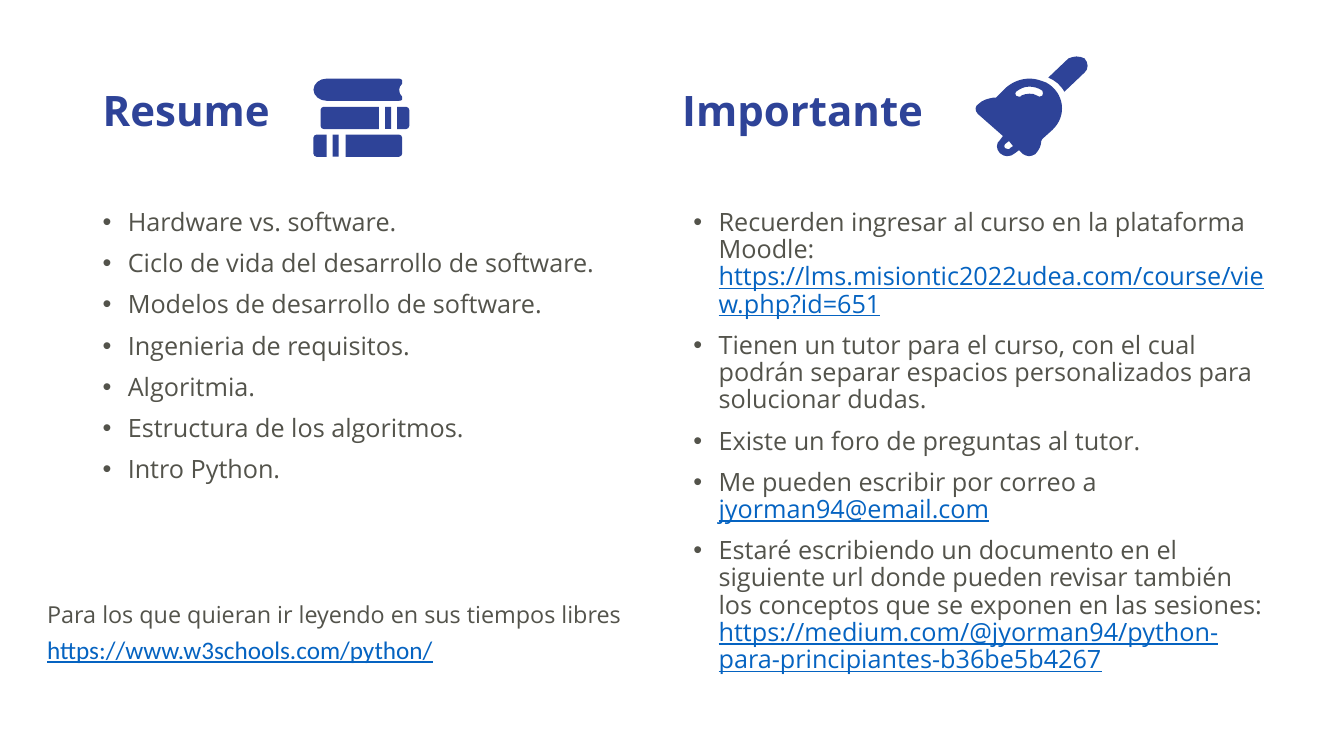
from lxml import etree
from pptx import Presentation
from pptx.dml.color import RGBColor
from pptx.enum.shapes import MSO_SHAPE
from pptx.enum.text import MSO_ANCHOR, MSO_AUTO_SIZE, PP_ALIGN
from pptx.oxml.ns import qn
from pptx.util import Pt

RECTANGLE = MSO_SHAPE.RECTANGLE
MIDDLE, TOP = MSO_ANCHOR.MIDDLE, MSO_ANCHOR.TOP
LEFT = PP_ALIGN.LEFT
NO_FIT = MSO_AUTO_SIZE.NONE

NAVY = RGBColor(0x2E, 0x43, 0x98)
GRAY = RGBColor(0x53, 0x53, 0x4B)
BLUE = RGBColor(0x05, 0x63, 0xC1)

UNIT = 0.72

TOPICS = [
    ("Hardware vs. software.",),
    ("Ciclo de vida del desarrollo de software.",),
    ("Modelos de desarrollo de software.",),
    ("Ingenieria de requisitos.",),
    ("Algoritmia.",),
    ("Estructura de los algoritmos.",),
    ("Intro Python.",),
]
NOTICES = [
    ("Recuerden ingresar al curso en la plataforma Moodle: ",
     "https://lms.misiontic2022udea.com/course/view.php?id=651"),
    ("Tienen un tutor para el curso, con el cual podrán separar espacios "
     "personalizados para solucionar dudas.",),
    ("Existe un foro de preguntas al tutor.",),
    ("Me pueden escribir por correo a ", "jyorman94@email.com"),
    ("Estaré escribiendo un documento en el siguiente url donde pueden revisar "
     "también los conceptos que se exponen en las sesiones: ",
     "https://medium.com/@jyorman94/python-para-principiantes-b36be5b4267"),
]

BELL_SHINE = [
    (1021, 86), (1025, 86, 1030, 87, 1034, 90), (1035, 92, 1035, 93, 1034, 95),
    (1033, 96, 1032, 96, 1031, 96), (1030, 96, 1030, 96, 1029, 95),
    (1026, 93, 1024, 93, 1021, 93), (1018, 93, 1015, 94, 1013, 95),
    (1013, 96, 1012, 96, 1011, 96), (1010, 96, 1009, 96, 1008, 95),
    (1007, 94, 1007, 92, 1008, 91), (1012, 88, 1016, 86, 1021, 86),
]
BELL_RING = [
    (1001, 140), (1005, 145), (1002, 147), (1002, 148, 1001, 148, 1000, 148),
    (999, 148, 998, 148, 997, 147), (996, 146, 996, 144, 997, 143),
]
BELL_BODY = [
    (1022, 78), (1013, 78, 1005, 81, 998, 87), (988, 97),
    (987, 97, 987, 97, 985, 97), (980, 98, 975, 99, 971, 103),
    (967, 105, 967, 110, 970, 113), (995, 135), (992, 139),
    (988, 142, 988, 148, 992, 152), (994, 154, 997, 155, 999, 155),
    (1002, 155, 1005, 154, 1007, 152), (1011, 149), (1015, 153),
    (1017, 154, 1019, 155, 1021, 155), (1023, 155, 1025, 154, 1027, 153),
    (1031, 149, 1033, 144, 1033, 140), (1033, 139, 1033, 139, 1034, 138),
    (1044, 129), (1059, 115, 1056, 92, 1038, 82), (1033, 80, 1027, 78, 1022, 78),
]
BELL_HANDLE = [
    (1068, 56), (1065, 56, 1063, 57, 1060, 58), (1040, 77),
    (1047, 80, 1052, 84, 1056, 91), (1076, 72), (1080, 69, 1080, 62, 1076, 58),
    (1074, 57, 1071, 56, 1068, 56),
]
TOP_BOOK = [
    (324, 78), (317, 78, 311, 83, 311, 89), (311, 95, 317, 100, 324, 100),
    (396, 100), (399, 100, 400, 98, 399, 96), (397, 94, 396, 92, 396, 89),
    (396, 87, 397, 85, 399, 83), (400, 81, 399, 78, 396, 78),
]


def rounded_block(round_x, flat_x, top, height=22, corner=3, pull=1.5):
    side = 1 if flat_x > round_x else -1
    inner_x, near_x = round_x + side * corner, round_x + side * pull
    bottom = top + height
    return [
        (inner_x, top), (near_x, top, round_x, top + pull, round_x, top + corner),
        (round_x, bottom - corner),
        (round_x, bottom - pull, near_x, bottom, inner_x, bottom),
        (flat_x, bottom), (flat_x, top),
    ]


def to_points(contour):
    return [(Pt(x * UNIT), Pt(y * UNIT))
            for segment in contour for x, y in zip(segment[::2], segment[1::2])]


def bend(outline, contours):
    nodes = iter(list(outline))
    for contour in contours:
        for segment in contour:
            node = next(nodes)
            if len(segment) == 6:
                curve = etree.Element(qn("a:cubicBezTo"))
                outline.replace(node, curve)
                curve.append(node[0])
                for _ in range(2):
                    node = next(nodes)
                    outline.remove(node)
                    curve.append(node[0])
        next(nodes)


class SlideBuilder:
    font = "Open Sans"

    def __init__(self, page):
        self.page = page

    def place(self, box, left, top, width, height, anchor=TOP):
        box.left, box.top, box.width, box.height = map(Pt, (left, top, width, height))
        frame = box.text_frame
        frame.word_wrap = True
        frame.auto_size = NO_FIT
        frame.vertical_anchor = anchor
        return frame

    def new_box(self):
        return self.page.shapes.add_textbox(0, 0, 0, 0)

    def style(self, span, size, color, bold=False, underline=False, font=None):
        span.font.name = font or self.font
        span.font.size = Pt(size)
        span.font.bold = bold
        span.font.underline = underline
        span.font.color.rgb = color

    def heading(self, box, text, left):
        frame = self.place(box, left, 28.8, 353.5, 104.4, MIDDLE)
        frame.text = text
        para = frame.paragraphs[0]
        para.alignment = LEFT
        para.line_spacing = 0.9
        self.style(para.runs[0], 30, NAVY, bold=True)

    def bullets(self, items, left, width, height):
        frame = self.place(self.new_box(), left, 146.2, width, height)
        for index, item in enumerate(items):
            para = frame.add_paragraph() if index else frame.paragraphs[0]
            para.line_spacing = 0.9
            if index:
                para.space_before = Pt(10)
            properties = para._p.get_or_add_pPr()
            properties.set("marL", str(Pt(18)))
            properties.set("indent", str(-Pt(18)))
            etree.SubElement(properties, qn("a:buFont")).set("typeface", "Arial")
            etree.SubElement(properties, qn("a:buChar")).set("char", "•")
            for position, text in enumerate(item):
                span = para.add_run()
                span.text = text
                is_link = position == 1
                self.style(span, 18, BLUE if is_link else GRAY, underline=is_link)

    def line(self, text, top, width, size, color, spacing=1.0, **look):
        frame = self.place(self.new_box(), 26.6, top, width, 29)
        frame.text = text
        frame.paragraphs[0].line_spacing = spacing
        self.style(frame.paragraphs[0].runs[0], size, color, **look)

    def paint(self, shape):
        shape.shadow.inherit = False
        shape.fill.solid()
        shape.fill.fore_color.rgb = NAVY
        shape.line.fill.background()

    def icon(self, outlines, strips=()):
        shapes = self.page.shapes.add_group_shape().shapes
        for contours in outlines:
            first, *others = map(to_points, contours)
            builder = shapes.build_freeform(*first[0], scale=1.0)
            builder.add_line_segments(first[1:], close=True)
            for points in others:
                builder.move_to(*points[0])
                builder.add_line_segments(points[1:], close=True)
            shape = builder.convert_to_shape()
            bend(next(shape.element.iter(qn("a:path"))), contours)
            self.paint(shape)
        for left, top in strips:
            self.paint(shapes.add_shape(
                RECTANGLE, *(Pt(n * UNIT) for n in (left, top, 6, 22))))


def main():
    deck = Presentation()
    deck.slide_width, deck.slide_height = Pt(960), Pt(540)
    page = deck.slides.add_slide(deck.slide_layouts[5])
    builder = SlideBuilder(page)

    builder.heading(page.shapes.title, "Resume", 66.2)
    builder.bullets(TOPICS, 66.2, 406, 219.6)
    builder.heading(builder.new_box(), "Importante", 480.2)
    builder.bullets(NOTICES, 488.2, 426.2, 353.5)

    builder.icon([[BELL_SHINE, BELL_RING, BELL_BODY], [BELL_HANDLE]])
    builder.icon(
        [[TOP_BOOK], [rounded_block(406, 394, 106)], [rounded_block(318, 376, 106)],
         [rounded_block(399, 343, 133.5)], [rounded_block(311, 324, 133.5)]],
        strips=[(382, 106), (330, 133.5)])

    builder.line("https://www.w3schools.com/python/", 449.3, 481, 18, BLUE,
                 underline=True, font="Calibri")
    builder.line("Para los que quieran ir leyendo en sus tiempos libres",
                 427.7, 445, 16.7, GRAY, spacing=0.9)
    deck.save("out.pptx")


if __name__ == "__main__":
    main()
